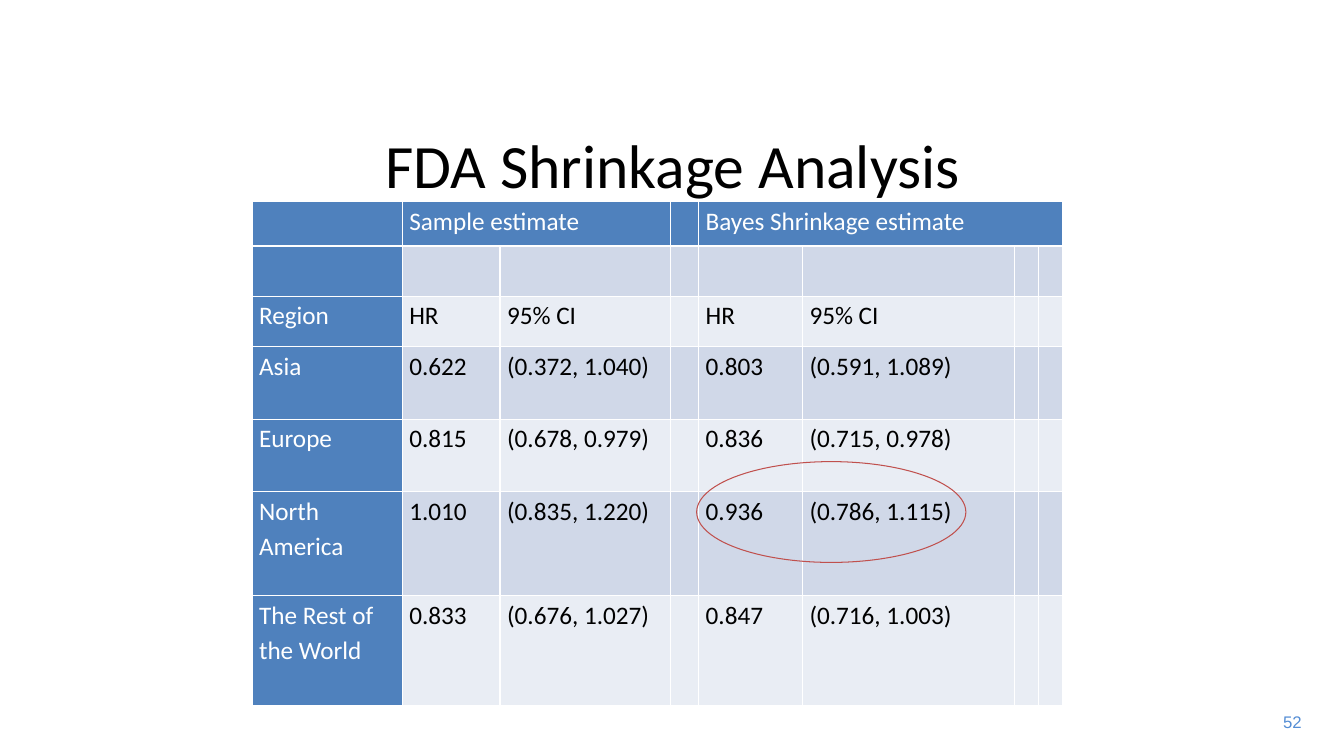
from lxml.etree import SubElement
from pptx import Presentation
from pptx.dml.color import RGBColor
from pptx.enum.shapes import MSO_SHAPE as Shape
from pptx.enum.text import MSO_ANCHOR as Anchor, PP_ALIGN as Align
from pptx.oxml.ns import qn
from pptx.util import Pt

PX = 9144  # 100 px to the inch
WHITE = RGBColor(0xFF, 0xFF, 0xFF)
BLACK = RGBColor(0x00, 0x00, 0x00)
HEADER_BLUE = RGBColor(0x4F, 0x81, 0xBD)
BAND_DARK = RGBColor(0xD0, 0xD8, 0xE8)
BAND_LIGHT = RGBColor(0xE9, 0xED, 0xF4)
NUMBER_BLUE = RGBColor(0x55, 0x8E, 0xD5)
RING_RED = RGBColor(0xC0, 0x50, 0x4D)


def add_run(paragraph, text, size, color, font="Calibri"):
    run = paragraph.add_run()
    run.text = text
    run.font.size = Pt(size)
    run.font.name = font
    run.font.color.rgb = color


def style_cell(cell, fill):
    """Give a cell white one-point borders and a solid fill."""
    properties = cell._tc.get_or_add_tcPr()
    for side in ("a:lnL", "a:lnR", "a:lnT", "a:lnB"):
        line = SubElement(properties, qn(side), w=str(Pt(1)))
        solid = SubElement(line, qn("a:solidFill"))
        SubElement(solid, qn("a:srgbClr"), val=str(WHITE))
    cell.fill.solid()
    cell.fill.fore_color.rgb = fill


presentation = Presentation()
presentation.slide_width = 1333 * PX
presentation.slide_height = 750 * PX
slide = presentation.slides.add_slide(presentation.slide_layouts[6])

# Title and slide number
captions = [
    ("FDA Shrinkage Analysis", (47, 112, 1241, 101), 44, BLACK, "Calibri",
     Align.CENTER, Anchor.MIDDLE, True),
    ("52", (1260, 701, 41, 30), 12, NUMBER_BLUE, "Arial",
     Align.RIGHT, Anchor.TOP, False),
]
for text, box, size, color, font, align, anchor, wrap in captions:
    frame = slide.shapes.add_textbox(*(n * PX for n in box)).text_frame
    frame.word_wrap = wrap
    frame.vertical_anchor = anchor
    paragraph = frame.paragraphs[0]
    paragraph.alignment = align
    add_run(paragraph, text, size, color, font)

# Table of estimates by region
column_widths = [149, 97, 169, 28, 103, 210, 22, 22]
row_heights = [44, 50, 50, 72, 72, 103, 109]
rows = [
    ["", "Sample estimate", "", "", "Bayes Shrinkage estimate", "", "", ""],
    [""] * 8,
    ["Region", "HR", "95% CI", "", "HR", "95% CI", "", ""],
    ["Asia", "0.622", "(0.372, 1.040)", "", "0.803", "(0.591, 1.089)", "", ""],
    ["Europe", "0.815", "(0.678, 0.979)", "", "0.836", "(0.715, 0.978)", "", ""],
    ["North America", "1.010", "(0.835, 1.220)", "", "0.936", "(0.786, 1.115)", "", ""],
    ["The Rest of the World", "0.833", "(0.676, 1.027)", "", "0.847", "(0.716, 1.003)", "", ""],
]
table = slide.shapes.add_table(
    len(rows), len(column_widths), 250 * PX, 200 * PX, 800 * PX, 500 * PX).table
table.first_col = True
for column, width in zip(table.columns, column_widths):
    column.width = width * PX
for row, height in zip(table.rows, row_heights):
    row.height = height * PX

for row_index, texts in enumerate(rows):
    band = BAND_DARK if row_index % 2 else BAND_LIGHT
    for column_index, text in enumerate(texts):
        cell = table.cell(row_index, column_index)
        is_header = row_index == 0 or column_index == 0
        style_cell(cell, HEADER_BLUE if is_header else band)
        if text:
            cell.margin_left = cell.margin_right = 7 * PX
            cell.margin_top = cell.margin_bottom = 0
            paragraph = cell.text_frame.paragraphs[0]
            paragraph.line_spacing = 1.15
            add_run(paragraph, text, 18, WHITE if is_header else BLACK)

for first, last in ((1, 2), (4, 7)):
    table.cell(0, first).merge(table.cell(0, last))

# Ring around the North America shrinkage estimate
ring = slide.shapes.add_shape(Shape.OVAL, 691 * PX, 458 * PX, 267 * PX, 100 * PX)
ring.shadow.inherit = False
ring.fill.background()
ring.line.color.rgb = RING_RED
ring.line.width = Pt(0.75)

presentation.save("out.pptx")
